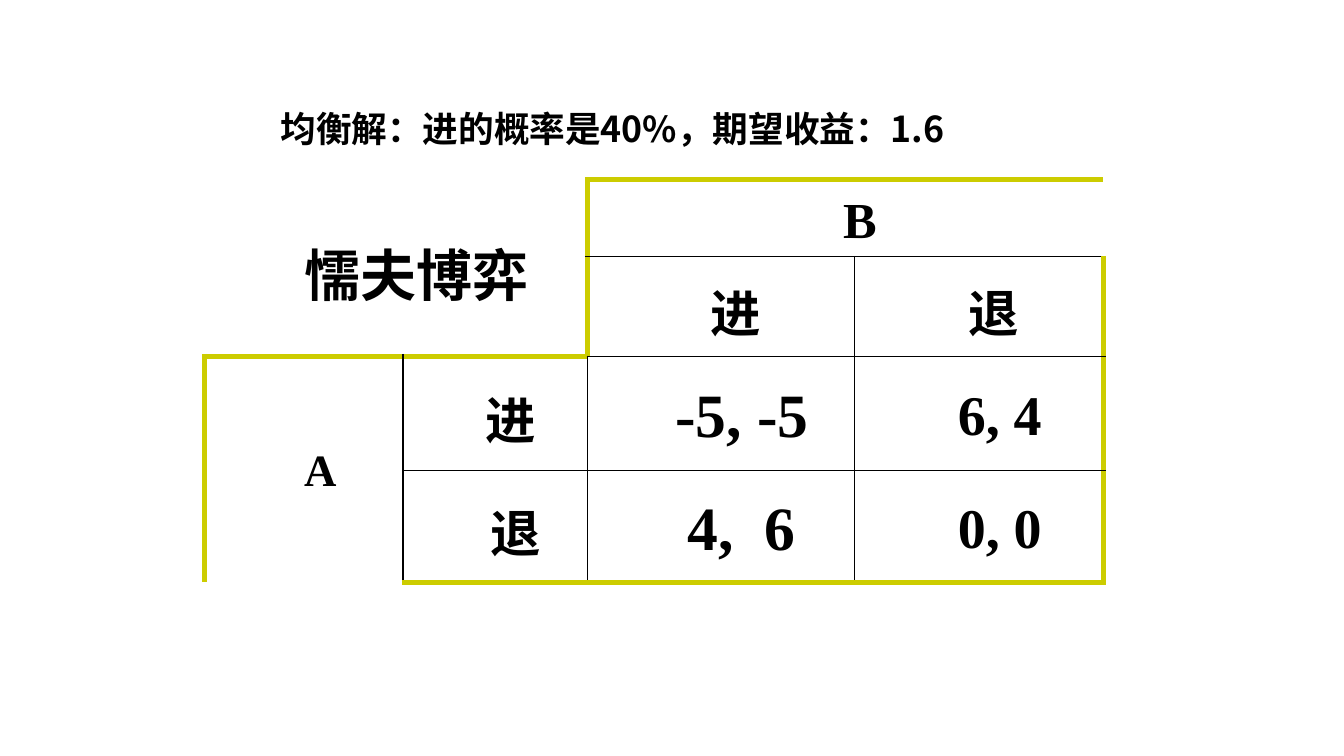
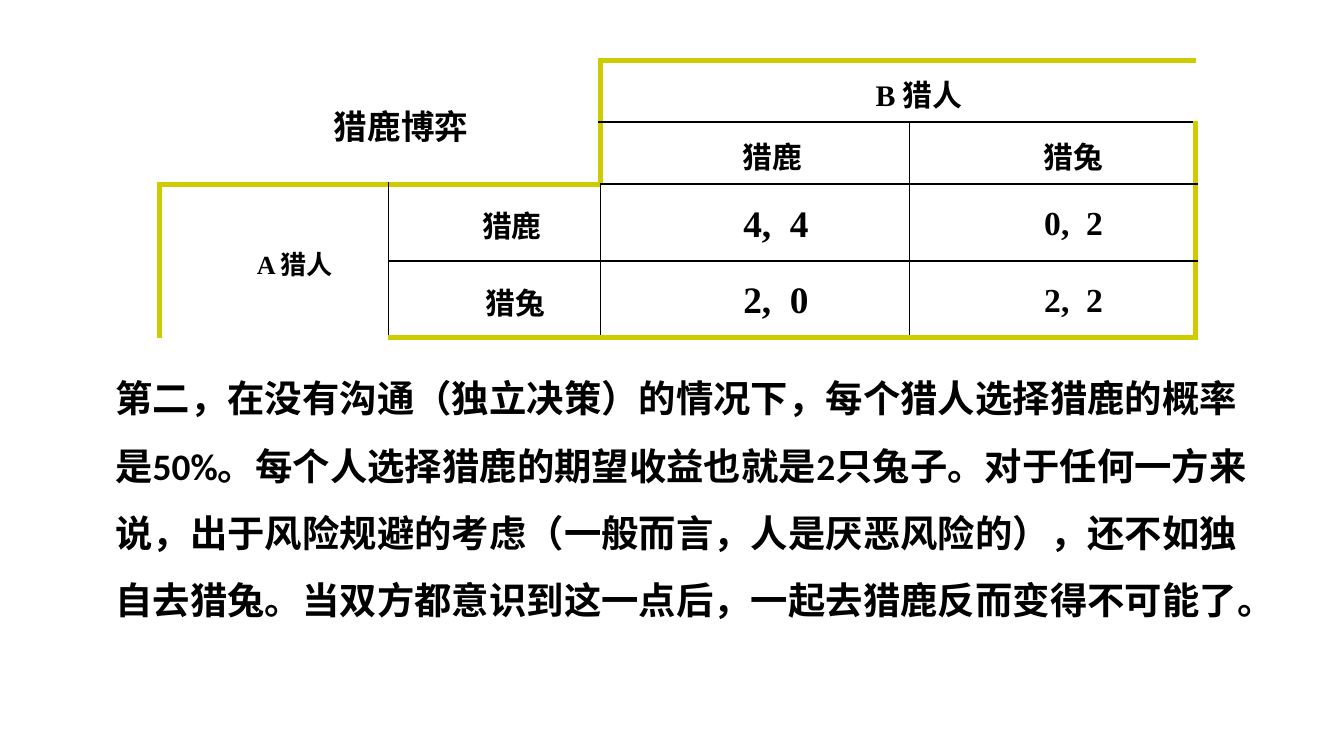
"""Build two slides on the chicken game and the stag hunt."""
from lxml import etree
from pptx import Presentation
from pptx.dml.color import RGBColor
from pptx.enum.text import MSO_ANCHOR, MSO_AUTO_SIZE, PP_ALIGN
from pptx.oxml.ns import qn
from pptx.util import Cm, Pt

CENTER = PP_ALIGN.CENTER
MIDDLE = MSO_ANCHOR.MIDDLE
GROW = MSO_AUTO_SIZE.SHAPE_TO_FIT_TEXT
BLANK_LAYOUT = 6

BLACK = "000000"
OLIVE = "CCCC00"
SERIF = "Times New Roman"
SANS = "Calibri"
CHINESE = "Noto Sans CJK SC"

VOID = "void"
MERGES = [((0, 0), (1, 1)), ((0, 2), (0, 3)), ((2, 0), (3, 0))]
SIDES = {"lnL": (0, -1), "lnR": (0, 1), "lnT": (-1, 0), "lnB": (1, 0)}


def color(value):
    return RGBColor.from_string(value)


def region(row, column):
    if not (0 <= row < 4 and 0 <= column < 4) or (row < 2 and column < 2):
        return VOID
    if row == 0:
        return "player B"
    if column == 0:
        return "player A"
    return row, column


class GameDeck:
    def __init__(self):
        self.deck = Presentation()
        self.deck.slide_width = Cm(25.4)
        self.deck.slide_height = Cm(14.29)
        self.page = None

    def add_page(self):
        layout = self.deck.slide_layouts[BLANK_LAYOUT]
        self.page = self.deck.slides.add_slide(layout)

    def add_span(self, para, text, size, font, baseline=None):
        span = para.add_run()
        span.text = text
        span.font.size = Pt(size)
        span.font.bold = True
        span.font.name = font
        span.font.color.rgb = color(BLACK)
        properties = span._r.get_or_add_rPr()
        etree.SubElement(properties, qn("a:ea"), typeface=CHINESE)
        if baseline is not None:
            properties.set("baseline", str(baseline * 1000))

    def add_text(self, place, text, size, font, spacing=None, baseline=None):
        box = self.page.shapes.add_textbox(*map(Cm, place))
        frame = box.text_frame
        frame.word_wrap = True
        frame.auto_size = GROW
        para = frame.paragraphs[0]
        para.line_spacing = spacing
        self.add_span(para, text, size, font, baseline)

    def draw_borders(self, cell, row, column):
        properties = cell._tc.get_or_add_tcPr()
        here = region(row, column)
        for side, (down, across) in SIDES.items():
            there = region(row + down, column + across)
            outer = VOID in (here, there)
            line = etree.SubElement(properties, qn(f"a:{side}"))
            if here == there:
                etree.SubElement(line, qn("a:noFill"))
                continue
            line.set("w", str(Pt(3 if outer else 1)))
            fill = etree.SubElement(line, qn("a:solidFill"))
            etree.SubElement(fill, qn("a:srgbClr"), val=OLIVE if outer else BLACK)

    def fill_cell(self, cell, text, size):
        para = cell.text_frame.paragraphs[0]
        para.alignment = CENTER
        para.line_spacing = 1.1
        para._p.get_or_add_pPr().set("marL", str(Cm(0.79)))
        para._p.get_or_add_pPr().set("indent", "0")
        self.add_span(para, text, size, SERIF)

    def add_game(self, corner, widths, heights, insets, entries):
        left, top = map(Cm, corner)
        frame = self.page.shapes.add_table(
            4, 4, left, top, Cm(sum(widths)), Cm(sum(heights)))
        table = frame.table
        table.first_row = False
        table.horz_banding = False
        for column, width in zip(table.columns, widths):
            column.width = Cm(width)
        for row, height in zip(table.rows, heights):
            row.height = Cm(height)
        for start, end in MERGES:
            table.cell(*start).merge(table.cell(*end))
        side, edge = map(Cm, insets)
        for row in range(4):
            for column in range(4):
                cell = table.cell(row, column)
                cell.margin_left = cell.margin_right = side
                cell.margin_top = cell.margin_bottom = edge
                cell.vertical_anchor = MIDDLE
                self.draw_borders(cell, row, column)
                cell.fill.background()
                if (row, column) in entries:
                    self.fill_cell(cell, *entries[row, column])


def main():
    game = GameDeck()

    game.add_page()
    game.add_game(
        (3.86, 3.4), (3.76, 3.48, 5.05, 4.7), (1.45, 1.88, 2.16, 2.11), (0.18, 0.1),
        {
            (0, 0): ("懦夫博弈", 30),
            (0, 2): ("B ", 27),
            (1, 2): ("进 ", 27),
            (1, 3): ("退 ", 27),
            (2, 0): ("A ", 24),
            (2, 1): ("进 ", 27),
            (2, 2): ("-5, -5", 33),
            (2, 3): ("6, 4", 30),
            (3, 1): ("退", 27),
            (3, 2): ("4,  6", 33),
            (3, 3): ("0, 0", 30),
        })
    game.add_text((5.05, 1.12, 15.75, 1.19), "均衡解：进的概率是40%，期望收益：1.6",
                  33, CHINESE, baseline=-25)

    game.add_page()
    game.add_text(
        (1.93, 6.55, 22, 5.23),
        "第二，在没有沟通（独立决策）的情况下，每个猎人选择猎鹿的概率是50%。"
        "每个人选择猎鹿的期望收益也就是2只兔子。对于任何一方来说，"
        "出于风险规避的考虑（一般而言，人是厌恶风险的），还不如独自去猎兔。"
        "当双方都意识到这一点后，一起去猎鹿反而变得不可能了。",
        20, SANS, spacing=1.5)
    game.add_game(
        (3.02, 1.14), (4.32, 4.01, 5.84, 5.41), (1.17, 1.17, 1.45, 1.45), (0.25, 0.08),
        {
            (0, 0): ("猎鹿博弈", 18),
            (0, 2): ("B 猎人", 16),
            (1, 2): ("猎鹿 ", 16),
            (1, 3): ("猎兔", 16),
            (2, 0): ("A 猎人", 14),
            (2, 1): ("猎鹿 ", 16),
            (2, 2): ("4,  4", 20),
            (2, 3): ("0,  2", 18),
            (3, 1): ("猎兔", 16),
            (3, 2): ("2,  0", 20),
            (3, 3): ("2,  2", 18),
        })

    game.deck.save("out.pptx")


if __name__ == "__main__":
    main()
